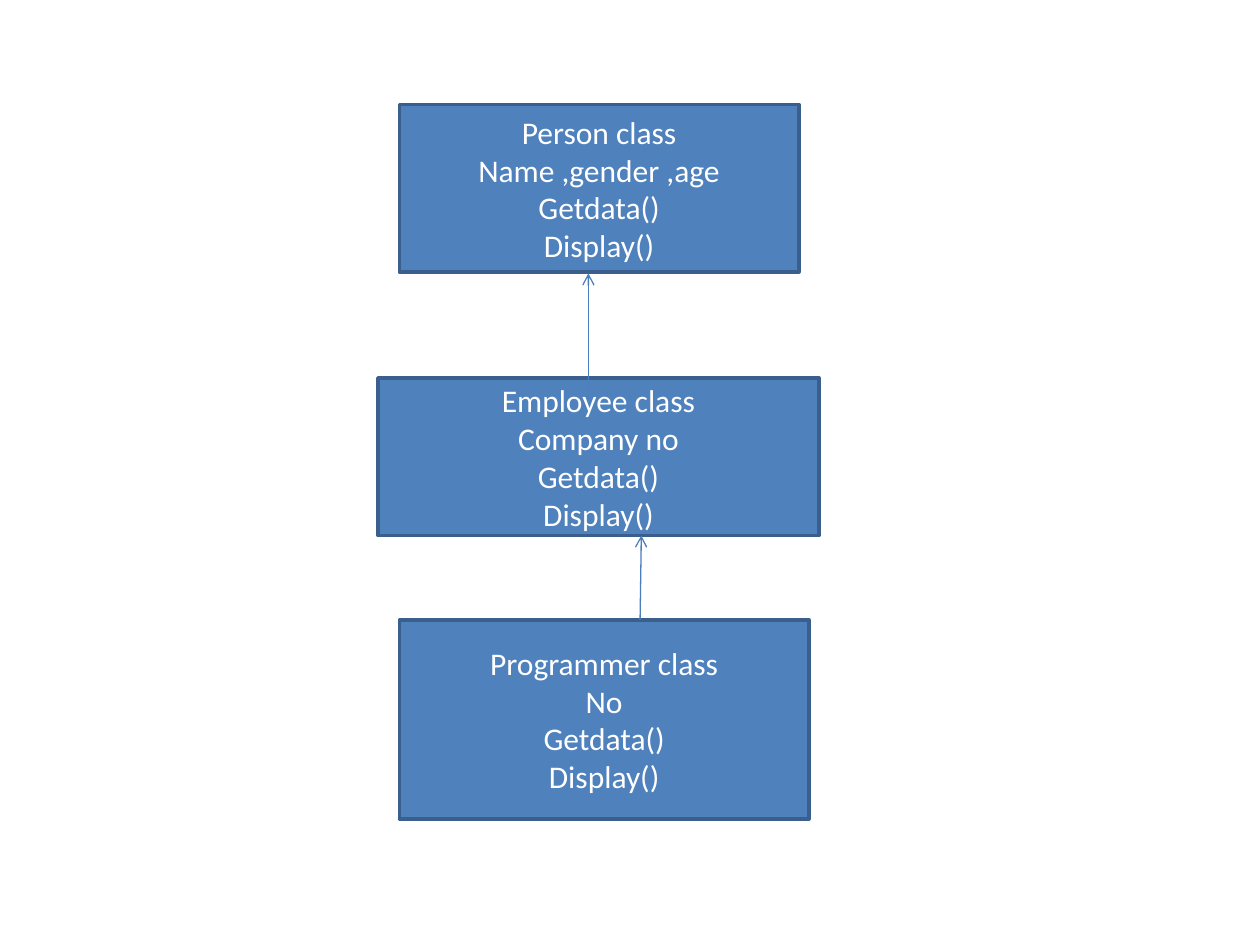
"""Build a class inheritance slide: Programmer to Employee to Person."""
import pptx
import pptx.dml.color
import pptx.enum.shapes
import pptx.enum.text
import pptx.oxml
import pptx.oxml.ns
import pptx.util

Inches = pptx.util.Inches
Pt = pptx.util.Pt

CLASSES = [
    {"lines": ["Person class", "Name ,gender ,age", "Getdata()", "Display()"],
     "place": (3.17, 0.83, 3.17, 1.33)},
    {"lines": ["Employee class", "Company no", "Getdata()", "Display()"],
     "place": (3, 3, 3.5, 1.25)},
    {"lines": ["Programmer class", "No", "Getdata()", "Display()"],
     "place": (3.17, 4.92, 3.25, 1.58)},
]
INHERITANCE = [((4.67, 3.17), (4.67, 2.17)), ((5.08, 4.92), (5.09, 4.25))]
THEME = {"font": "Calibri", "size": 18, "text": "FFFFFF", "fill": "4F81BD",
         "border": "3A5F8C", "border_width": 2, "arrow": "4B7EBC", "arrow_width": 0.75}


def color(key):
    return pptx.dml.color.RGBColor.from_string(THEME[key])


def write(frame, lines, *, size, font, ink, align):
    frame.word_wrap = True
    frame.vertical_anchor = pptx.enum.text.MSO_ANCHOR.MIDDLE
    for index, line in enumerate(lines):
        paragraph = frame.paragraphs[0] if index == 0 else frame.add_paragraph()
        paragraph.alignment = align
        run = paragraph.add_run()
        run.text = line
        run.font.size = Pt(size)
        run.font.name = font
        run.font.color.rgb = ink


def add_class(slide, lines, place):
    class_box = slide.shapes.add_shape(
        pptx.enum.shapes.MSO_SHAPE.RECTANGLE, *map(Inches, place))
    class_box.shadow.inherit = False
    class_box.fill.solid()
    class_box.fill.fore_color.rgb = color("fill")
    class_box.line.color.rgb = color("border")
    class_box.line.width = Pt(THEME["border_width"])
    write(class_box.text_frame, lines, size=THEME["size"], font=THEME["font"],
          ink=color("text"), align=pptx.enum.text.PP_ALIGN.CENTER)


def add_inheritance(slide, child, parent):
    arrow = slide.shapes.add_connector(
        pptx.enum.shapes.MSO_CONNECTOR.STRAIGHT, *map(Inches, child + parent))
    arrow.line.color.rgb = color("arrow")
    arrow.line.width = Pt(THEME["arrow_width"])
    head = pptx.oxml.parse_xml(
        f'<a:tailEnd {pptx.oxml.ns.nsdecls("a")} type="arrow"/>')
    arrow.line._get_or_add_ln().append(head)
    arrow._element.spPr.append(
        pptx.oxml.parse_xml(f'<a:effectLst {pptx.oxml.ns.nsdecls("a")}/>'))


def main():
    deck = pptx.Presentation()
    deck.slide_width, deck.slide_height = Inches(10), Inches(7.5)
    slide = deck.slides.add_slide(deck.slide_layouts[6])
    for entry in CLASSES:
        add_class(slide, **entry)
    for child, parent in INHERITANCE:
        add_inheritance(slide, child, parent)
    deck.save("out.pptx")


if __name__ == "__main__":
    main()
